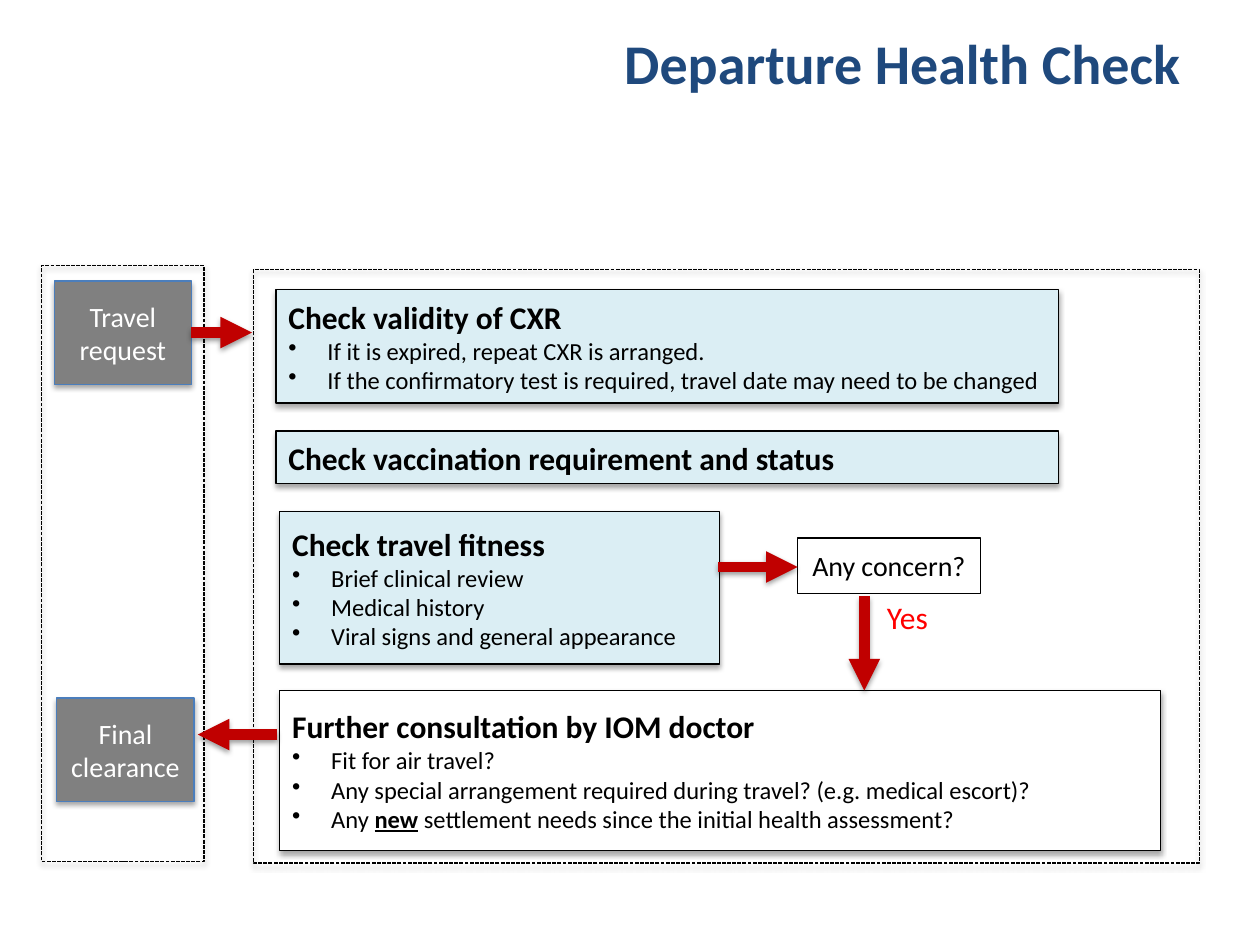
from dataclasses import dataclass
from typing import Optional

from lxml import etree
from pptx import Presentation
from pptx.dml.color import RGBColor
from pptx.enum.dml import MSO_LINE
from pptx.enum.shapes import MSO_CONNECTOR, MSO_SHAPE
from pptx.enum.text import MSO_ANCHOR, MSO_AUTO_SIZE, PP_ALIGN
from pptx.oxml.ns import qn
from pptx.util import Inches, Pt

RECTANGLE = MSO_SHAPE.RECTANGLE
STRAIGHT = MSO_CONNECTOR.STRAIGHT
DASHED = MSO_LINE.SQUARE_DOT
MIDDLE = MSO_ANCHOR.MIDDLE
LEFT, CENTER, RIGHT = PP_ALIGN.LEFT, PP_ALIGN.CENTER, PP_ALIGN.RIGHT
FIT_TEXT = MSO_AUTO_SIZE.SHAPE_TO_FIT_TEXT


@dataclass(frozen=True)
class Theme:
    font: str = "Calibri"
    title_color: str = "1F497D"
    black: str = "000000"
    white: str = "FFFFFF"
    gray: str = "808080"
    gray_border: str = "4B7EBC"
    pale_blue: str = "DBEEF4"
    arrow: str = "C00000"
    alert: str = "FF0000"
    title_size: float = 32
    heading_size: float = 18
    label_size: float = 16
    bullet_size: float = 14
    border_width: float = 0.75
    arrow_width: float = 6
    bullet_indent: float = 0.31


THEME = Theme()


@dataclass(frozen=True)
class Box:
    left: float
    top: float
    width: float
    height: float
    fill: Optional[str] = None
    border: str = THEME.black
    dashed: bool = False
    shadow: bool = True


@dataclass(frozen=True)
class Step:
    box: Box
    heading: str
    bullets: tuple = ()  # each bullet is a tuple of (text, emphasised) runs


@dataclass(frozen=True)
class Label:
    box: Box
    text: str
    color: str


@dataclass(frozen=True)
class Arrow:
    start: tuple[float, float]
    end: tuple[float, float]


def plain(*lines: str) -> tuple:
    return tuple(((line, False),) for line in lines)


# Content
FRAMES = [
    Box(0.33, 2.11, 1.29, 4.73, dashed=True),
    Box(2.01, 2.14, 7.51, 4.71, dashed=True),
]
STEPS = [
    Step(Box(2.19, 2.3, 6.21, 0.9, THEME.pale_blue), "Check validity of CXR",
         plain("If it is expired, repeat CXR is arranged.",
               "If the confirmatory test is required, travel date may need to be changed")),
    Step(Box(2.19, 3.42, 6.21, 0.42, THEME.pale_blue),
         "Check vaccination requirement and status"),
    Step(Box(2.22, 4.06, 3.49, 1.21, THEME.pale_blue), "Check travel fitness",
         plain("Brief clinical review", "Medical history",
               "Viral signs and general appearance")),
    Step(Box(2.22, 5.48, 6.99, 1.27, THEME.white), "Further consultation by IOM doctor",
         plain("Fit for air travel?",
               "Any special arrangement required during travel? (e.g. medical escort)?")
         + ((("Any ", False), ("new", True),
             (" settlement needs since the initial health assessment?", False)),)),
]
LABELS = [
    Label(Box(0.43, 2.23, 1.09, 0.82, THEME.gray, THEME.gray_border),
          "Travel request", THEME.white),
    Label(Box(0.45, 5.54, 1.09, 0.82, THEME.gray, THEME.gray_border),
          "Final clearance", THEME.white),
    Label(Box(6.33, 4.27, 1.45, 0.44, shadow=False), "Any concern?", THEME.black),
]
ARROWS = [
    Arrow((1.52, 2.64), (2, 2.64)),
    Arrow((5.7, 4.5), (6.33, 4.5)),
    Arrow((6.86, 4.73), (6.86, 5.48)),
    Arrow((2.2, 5.83), (1.57, 5.83)),
]


def add_shadow(shape, opacity: int, blur: float, distance: float) -> None:
    properties = shape._element.spPr
    effects = properties.find(qn("a:effectLst"))
    if effects is None:
        effects = etree.SubElement(properties, qn("a:effectLst"))
    shadow = etree.SubElement(effects, qn("a:outerShdw"), blurRad=str(Pt(blur)),
                              dist=str(Pt(distance)), dir="5400000", rotWithShape="0")
    color = etree.SubElement(shadow, qn("a:srgbClr"), val=THEME.black)
    etree.SubElement(color, qn("a:alpha"), val=str(opacity * 1000))


def add_box(slide, box: Box):
    shape = slide.shapes.add_shape(RECTANGLE, Inches(box.left), Inches(box.top),
                                   Inches(box.width), Inches(box.height))
    if box.fill:
        shape.fill.solid()
        shape.fill.fore_color.rgb = RGBColor.from_string(box.fill)
    else:
        shape.fill.background()
    shape.line.color.rgb = RGBColor.from_string(box.border)
    shape.line.width = Pt(THEME.border_width)
    if box.dashed:
        shape.line.dash_style = DASHED
    shape.shadow.inherit = False
    if box.shadow:
        add_shadow(shape, 35, 3.1, 1.8)
    shape.text_frame.word_wrap = True
    shape.text_frame.vertical_anchor = MIDDLE
    return shape


def add_run(paragraph, text: str, size: float, color: str, **extra: bool) -> None:
    run = paragraph.add_run()
    run.text = text
    run.font.color.rgb = RGBColor.from_string(color)
    formats = {"name": THEME.font, "size": Pt(size), **extra}
    for name, value in formats.items():
        setattr(run.font, name, value)


def add_bullet(paragraph) -> None:
    properties = paragraph._p.get_or_add_pPr()
    indent = Inches(THEME.bullet_indent)
    properties.set("marL", str(indent))
    properties.set("indent", str(-indent))
    etree.SubElement(properties, qn("a:buChar"), char="•")


def add_step(slide, step: Step) -> None:
    text_frame = add_box(slide, step.box).text_frame
    heading = text_frame.paragraphs[0]
    heading.alignment = LEFT
    add_run(heading, step.heading, THEME.heading_size, THEME.black, bold=True)
    for runs in step.bullets:
        paragraph = text_frame.add_paragraph()
        paragraph.alignment = LEFT
        add_bullet(paragraph)
        for text, emphasised in runs:
            add_run(paragraph, text, THEME.bullet_size, THEME.black,
                    bold=emphasised, underline=emphasised)


def add_label(slide, label: Label) -> None:
    paragraph = add_box(slide, label.box).text_frame.paragraphs[0]
    paragraph.alignment = CENTER
    add_run(paragraph, label.text, THEME.label_size, label.color)


def add_arrow(slide, arrow: Arrow) -> None:
    points = [Inches(value) for value in (*arrow.start, *arrow.end)]
    connector = slide.shapes.add_connector(STRAIGHT, *points)
    connector.line.color.rgb = RGBColor.from_string(THEME.arrow)
    connector.line.width = Pt(THEME.arrow_width)
    etree.SubElement(connector.line._get_or_add_ln(), qn("a:tailEnd"), type="triangle")
    add_shadow(connector, 38, 3.1, 1.6)


def add_text(slide, area: tuple, text: str, size: float, color: str,
             alignment, wrap: bool, bold: bool) -> None:
    text_box = slide.shapes.add_textbox(*[Inches(value) for value in area])
    text_box.text_frame.word_wrap = wrap
    text_box.text_frame.auto_size = FIT_TEXT
    paragraph = text_box.text_frame.paragraphs[0]
    paragraph.alignment = alignment
    add_run(paragraph, text, size, color, bold=bold)


def main() -> None:
    presentation = Presentation()
    presentation.slide_width, presentation.slide_height = Inches(10), Inches(7.5)
    slide = presentation.slides.add_slide(presentation.slide_layouts[6])

    # Title
    add_text(slide, (2.65, 0.18, 6.82, 0.64), "Departure Health Check",
             THEME.title_size, THEME.title_color, RIGHT, wrap=True, bold=True)

    # Dashed frames, then the flow inside them
    for frame in FRAMES:
        add_box(slide, frame)
    for step in STEPS:
        add_step(slide, step)
    for label in LABELS:
        add_label(slide, label)
    for arrow in ARROWS:
        add_arrow(slide, arrow)

    # Branch label
    add_text(slide, (6.94, 4.7, 0.53, 0.4), "Yes",
             THEME.heading_size, THEME.alert, LEFT, wrap=False, bold=False)

    presentation.save("out.pptx")


if __name__ == "__main__":
    main()
